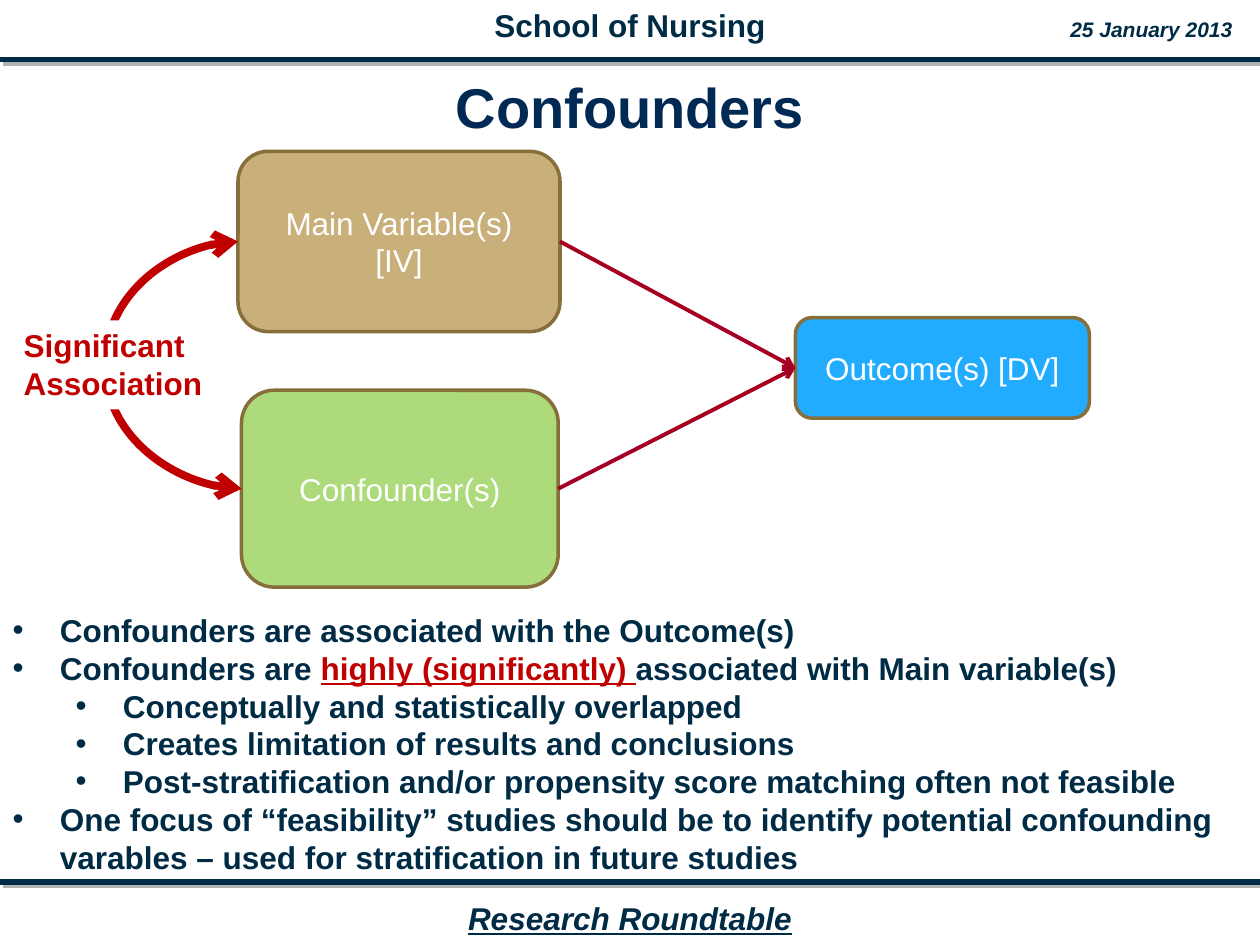
from dataclasses import dataclass

from lxml.etree import SubElement
from pptx import Presentation
from pptx.dml.color import RGBColor
from pptx.enum.shapes import MSO_CONNECTOR, MSO_SHAPE
from pptx.enum.text import MSO_ANCHOR, MSO_AUTO_SIZE, PP_ALIGN
from pptx.oxml.ns import qn
from pptx.util import Pt


@dataclass(frozen=True)
class Theme:
    """Hold the colours, font and type sizes of the slide."""
    font: str = "Arial"
    navy: str = "002B45"
    title: str = "002A54"
    white: str = "FFFFFF"
    red: str = "C00000"
    crimson: str = "A50021"
    border: str = "876F3B"
    tan: str = "B79650"
    green: str = "92D050"
    blue: str = "22ACFF"
    shadow: str = "B2B2B2"
    title_size: int = 32
    text_size: int = 18
    date_size: int = 12


THEME = Theme()
BULLETS = [
    (0, [("Confounders are associated with the Outcome(s)", False)]),
    (0, [("Confounders are ", False), ("highly (significantly) ", True),
         ("associated with Main variable(s)", False)]),
    (1, [("Conceptually and statistically overlapped", False)]),
    (1, [("Creates limitation of results and conclusions", False)]),
    (1, [("Post-stratification and/or propensity score matching often not feasible", False)]),
    (0, [("One focus of “feasibility” studies should be to identify potential "
          "confounding varables – used for stratification in future studies", False)]),
]


def assign(target, **values):
    """Set each named value as an attribute of the target."""
    for name, value in values.items():
        setattr(target, name, value)


def place(box, left, top, width, height):
    """Move and size a box, in points."""
    assign(box, left=Pt(left), top=Pt(top), width=Pt(width), height=Pt(height))


def add_span(para, text, color, size=THEME.text_size, **style):
    """Add a formatted run to a paragraph."""
    span = para.add_run()
    span.text = text
    assign(span.font, name=THEME.font, size=Pt(size), **style)
    span.font.color.rgb = RGBColor.from_string(color)


def set_title(page, text):
    """Fill and place the title placeholder."""
    box = page.shapes.title
    place(box, 18, 42, 684, 43)
    assign(box.text_frame, vertical_anchor=MSO_ANCHOR.MIDDLE, auto_size=MSO_AUTO_SIZE.NONE,
           margin_left=Pt(3.6), margin_right=Pt(3.6))
    para = box.text_frame.paragraphs[0]
    assign(para, alignment=PP_ALIGN.CENTER, line_spacing=0.85)
    add_span(para, text, THEME.title, THEME.title_size, bold=True)


def set_bullets(page, items):
    """Fill the body placeholder with a bulleted list."""
    box = page.placeholders[1]
    place(box, 0, 345.5, 720, 160)
    frame = box.text_frame
    assign(frame, vertical_anchor=MSO_ANCHOR.TOP, auto_size=MSO_AUTO_SIZE.NONE, word_wrap=True)
    for index, (level, spans) in enumerate(items):
        para = frame.add_paragraph() if index else frame.paragraphs[0]
        assign(para, level=level, space_before=Pt(0), alignment=PP_ALIGN.LEFT)
        properties = para._p.get_or_add_pPr()
        properties.set("marL", str(Pt(27 + 36 * level)))
        properties.set("indent", str(Pt(-27)))
        SubElement(properties, qn("a:buFont"), typeface=THEME.font)
        SubElement(properties, qn("a:buChar"), char="•")
        for text, strong in spans:
            add_span(para, text, THEME.red if strong else THEME.navy,
                     bold=True, underline=strong)


def add_label(page, bounds, lines, color, size=THEME.text_size,
              align=PP_ALIGN.CENTER, fill=None, **style):
    """Add an unwrapped bold text box with one paragraph per line."""
    box = page.shapes.add_textbox(*map(Pt, bounds))
    if fill:
        box.fill.solid()
        box.fill.fore_color.rgb = RGBColor.from_string(fill)
    frame = box.text_frame
    frame.word_wrap = False
    for index, text in enumerate(lines):
        para = frame.add_paragraph() if index else frame.paragraphs[0]
        para.alignment = align
        add_span(para, text, color, size, bold=True, **style)


def add_node(page, bounds, text, fill, opacity=100):
    """Add a rounded diagram box with centred text."""
    box = page.shapes.add_shape(MSO_SHAPE.ROUNDED_RECTANGLE, *map(Pt, bounds))
    box.shadow.inherit = False
    box.fill.solid()
    box.fill.fore_color.rgb = RGBColor.from_string(fill)
    if opacity < 100:
        color = box._element.spPr.find(qn("a:solidFill"))[0]
        SubElement(color, qn("a:alpha"), val=str(opacity * 1000))
    box.line.color.rgb = RGBColor.from_string(THEME.border)
    box.line.width = Pt(2)
    assign(box.text_frame, word_wrap=True, vertical_anchor=MSO_ANCHOR.MIDDLE)
    para = box.text_frame.paragraphs[0]
    para.alignment = PP_ALIGN.CENTER
    add_span(para, text, THEME.white)
    return box


def add_line(page, kind, color, width, ends=(0, 0, 0, 0), heads=()):
    """Add a connector and return it with its empty effect list."""
    line = page.shapes.add_connector(kind, *map(Pt, ends))
    line.line.color.rgb = RGBColor.from_string(color)
    line.line.width = Pt(width)
    for head in heads:
        SubElement(line.line._get_or_add_ln(), qn(f"a:{head}"), type="arrow")
    return line, SubElement(line._element.spPr, qn("a:effectLst"))


def add_rule(page, top):
    """Add a full-width rule with an offset shadow."""
    _, effects = add_line(page, MSO_CONNECTOR.STRAIGHT, THEME.navy, 3, (0, top, 720, top))
    shadow = SubElement(effects, qn("a:outerShdw"), dist=str(Pt(2.8)), dir="2700000",
                        algn="ctr", rotWithShape="0")
    SubElement(shadow, qn("a:srgbClr"), val=THEME.shadow)


def add_arrow(page, source, target):
    """Join the right side of one box to the left side of another."""
    line, _ = add_line(page, MSO_CONNECTOR.STRAIGHT, THEME.crimson, 2.25, heads=["tailEnd"])
    line.begin_connect(source, 3)
    line.end_connect(target, 1)


def add_association(page, upper, lower, bulge):
    """Join the left sides of two boxes by a two-headed curve."""
    line, _ = add_line(page, MSO_CONNECTOR.CURVE, THEME.red, 4.5, heads=["headEnd", "tailEnd"])
    line.begin_connect(upper, 1)
    line.end_connect(lower, 1)
    ratio = round(-100000 * Pt(bulge) / (lower.left - upper.left))
    guides = line._element.spPr.find(qn("a:prstGeom")).get_or_add_avLst()
    SubElement(guides, qn("a:gd"), name="adj1", fmla=f"val {ratio}")


def main():
    """Build the slide and save the deck."""
    deck = Presentation()
    assign(deck, slide_width=Pt(720), slide_height=Pt(540))
    page = deck.slides.add_slide(deck.slide_layouts[1])
    for top in (34, 504):
        add_rule(page, top)
    add_label(page, (272, 0, 176, 29), ["School of Nursing"], THEME.navy)
    add_label(page, (604, 6, 108, 22), ["25 January 2013"], THEME.navy,
              THEME.date_size, italic=True)
    add_label(page, (259, 510, 202, 29), ["Research Roundtable"], THEME.navy,
              italic=True, underline=True)
    set_title(page, "Confounders")
    set_bullets(page, BULLETS)
    variable = add_node(page, (136, 86.5, 184, 103), "Main Variable(s) [IV]", THEME.tan, 75)
    outcome = add_node(page, (454.5, 181.5, 168, 57.5), "Outcome(s) [DV]", THEME.blue)
    confounder = add_node(page, (138, 223, 181, 112.5), "Confounder(s)", THEME.green, 75)
    for source in (variable, confounder):
        add_arrow(page, source, outcome)
    add_association(page, variable, confounder, 75.6)
    add_label(page, (6.5, 183, 117, 51), ["Significant", "Association"], THEME.red,
              align=PP_ALIGN.LEFT, fill=THEME.white)
    deck.save("out.pptx")


if __name__ == "__main__":
    main()
